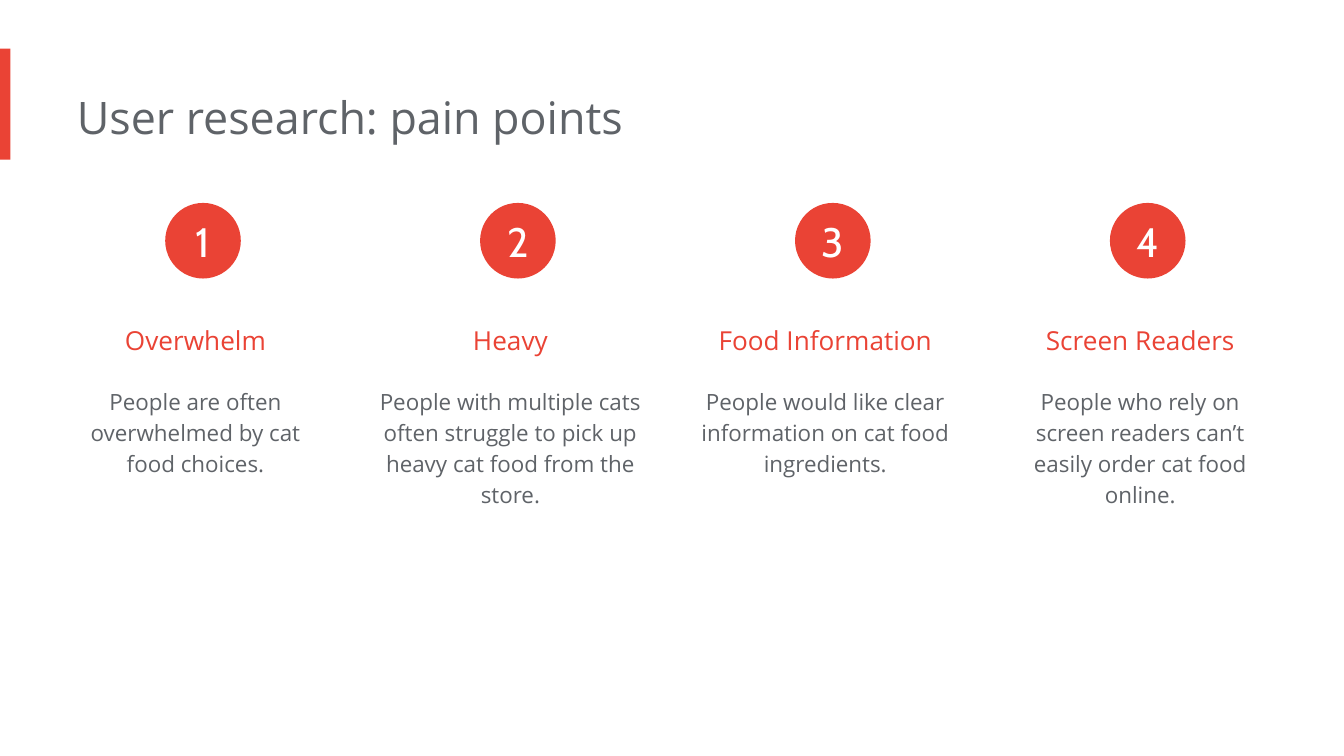
from pptx import Presentation
from pptx.dml.color import RGBColor
from pptx.enum.shapes import MSO_SHAPE
from pptx.enum.text import MSO_ANCHOR, MSO_AUTO_SIZE, PP_ALIGN
from pptx.util import Pt

RECTANGLE, OVAL = MSO_SHAPE.RECTANGLE, MSO_SHAPE.OVAL
LEFT, CENTER = PP_ALIGN.LEFT, PP_ALIGN.CENTER
TOP, MIDDLE = MSO_ANCHOR.TOP, MSO_ANCHOR.MIDDLE
GROW, FIXED = MSO_AUTO_SIZE.SHAPE_TO_FIT_TEXT, MSO_AUTO_SIZE.NONE
RED, GRAY, WHITE = "EA4335", "5F6368", "FFFFFF"

deck = Presentation()
deck.slide_width, deck.slide_height = Pt(720), Pt(405)
page = deck.slides.add_slide(deck.slide_layouts[6])


def add_block(shape, left, top, width, height, fill=RED):
    block = page.shapes.add_shape(shape, Pt(left), Pt(top), Pt(width), Pt(height))
    block.shadow.inherit = False
    block.fill.solid()
    block.fill.fore_color.rgb = RGBColor.from_string(fill)
    block.line.fill.background()
    return block


def write(box, text, size, color, font="Open Sans", align=CENTER, spacing=1.0,
          anchor=TOP, insets=(0, 7.2, 7.2, 7.2), fit=GROW):
    frame = box.text_frame
    frame.word_wrap = True
    frame.auto_size = fit
    frame.vertical_anchor = anchor
    (frame.margin_left, frame.margin_top,
     frame.margin_right, frame.margin_bottom) = map(Pt, insets)
    para = frame.paragraphs[0]
    para.alignment = align
    para.line_spacing = spacing
    span = para.add_run()
    span.text = text
    span.font.size = Pt(size)
    span.font.name = font
    span.font.color.rgb = RGBColor.from_string(color)


# Accent bar and title
add_block(RECTANGLE, 0, 26, 5.6, 59.5)
title = page.shapes.add_textbox(Pt(41.2), Pt(41), Pt(484.5), Pt(44))
write(title, "User research: pain points", 24, GRAY, align=LEFT)

# Pain points in four equal columns: heading, body, body height
pain_points = [
    ("Overwhelm", "People are often overwhelmed by cat food choices.", 62.6),
    ("Heavy", "People with multiple cats often struggle to pick up heavy "
              "cat food from the store.", 79.2),
    ("Food Information", "People would like clear information on cat food "
                         "ingredients.", 62.6),
    ("Screen Readers", "People who rely on screen readers can’t easily order "
                       "cat food online.", 79.2),
]
first_left, pitch, column_width = 34.5, 168.7, 147.6
badge_offset, badge_size = 54, 40.5

for index, (heading, body, body_height) in enumerate(pain_points):
    left = first_left + index * pitch

    # Heading and body text
    heading_box = page.shapes.add_textbox(Pt(left), Pt(158.4), Pt(column_width), Pt(31.7))
    write(heading_box, heading, 14, RED, spacing=1.5)
    body_box = page.shapes.add_textbox(Pt(left), Pt(198.7), Pt(column_width), Pt(body_height))
    write(body_box, body, 12, GRAY, spacing=1.15)

    # Numbered badge
    badge = add_block(OVAL, left + badge_offset, 108.7, badge_size, badge_size)
    write(badge, str(index + 1), 22, WHITE, font="Cabin", anchor=MIDDLE,
          insets=(0, 0, 0, 0), fit=FIXED)

deck.save("out.pptx")
